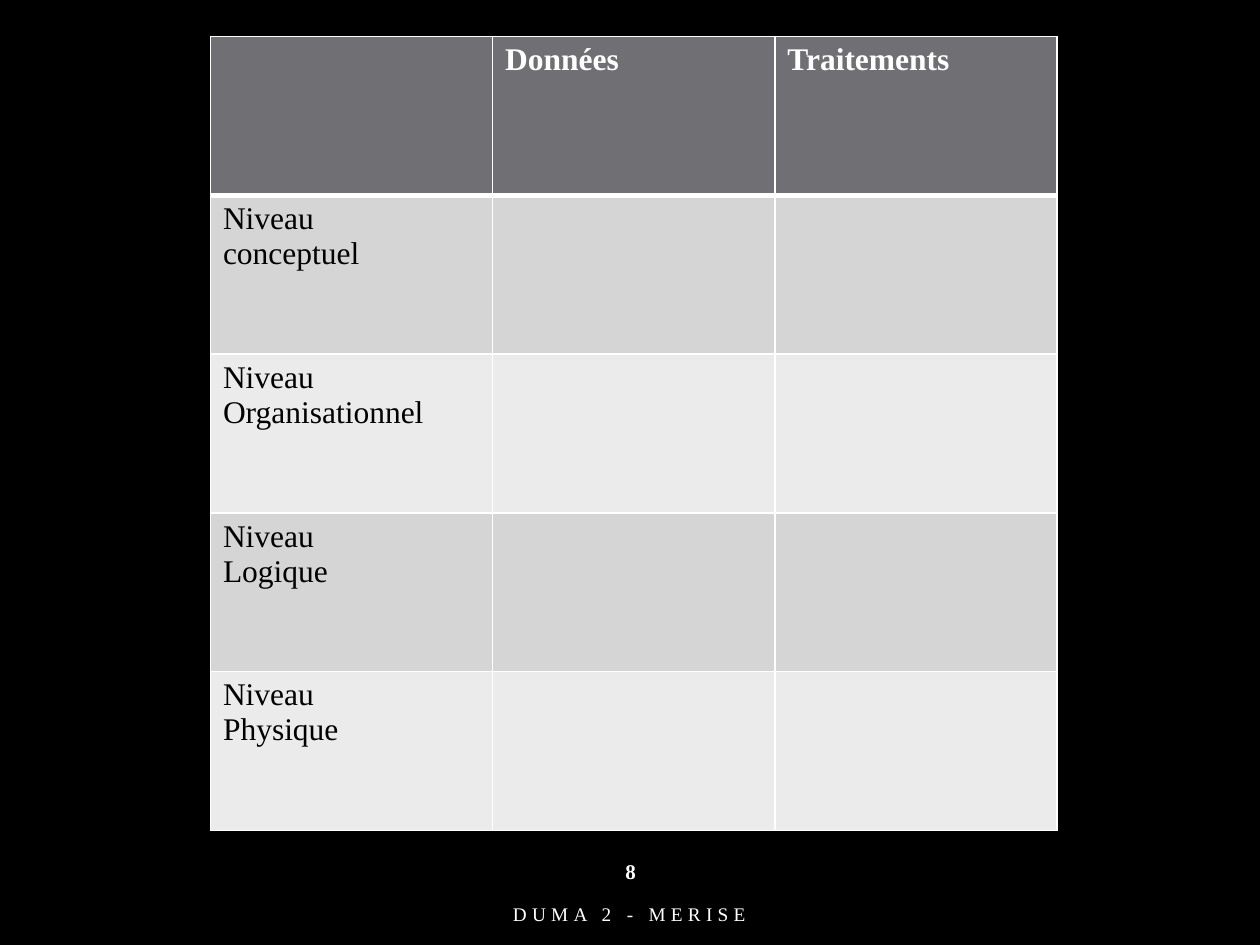
from lxml.etree import SubElement
from pptx import Presentation
from pptx.dml.color import RGBColor
from pptx.enum.text import MSO_ANCHOR as Anchor, PP_ALIGN as Align
from pptx.oxml.ns import qn
from pptx.util import Inches, Pt

COLOURS = {"back": "000000", "light": "FFFFFF", "dark": "000000",
           "header": "6F6F74", "odd": "D5D5D6", "even": "EBEBEB"}
LEVELS = ["conceptuel", "Organisationnel", "Logique", "Physique"]


def colour(name):
    """Return the named colour."""
    return RGBColor.from_string(COLOURS[name])


class SlideBuilder:
    """Hold the text style and the current slide."""

    font = "Times New Roman"

    def __init__(self, page):
        """Start on a page and paint its background."""
        self.page = page
        fill = page.background.fill
        fill.solid()
        fill.fore_color.rgb = colour("back")

    def add_lines(self, frame, lines, ink, align=None, spacing=None, **style):
        """Add one paragraph for each line."""
        for number, line in enumerate(lines):
            para = frame.add_paragraph() if number else frame.paragraphs[0]
            para.alignment = align
            span = para.add_run()
            span.text = line
            for key, value in {"name": self.font, **style}.items():
                setattr(span.font, key, value)
            span.font.color.rgb = colour(ink)
            if spacing:
                span.font._element.set("spc", str(spacing * 100))

    def label(self, text, left, top, width, height, **style):
        """Add a centred line of text."""
        box = self.page.shapes.add_textbox(*map(Inches, (left, top, width, height)))
        frame = box.text_frame
        layout = {"word_wrap": True, "vertical_anchor": Anchor.MIDDLE,
                  "margin_top": 0, "margin_bottom": 0}
        for key, value in layout.items():
            setattr(frame, key, value)
        self.add_lines(frame, [text], "light", Align.CENTER, **style)

    def border(self, cell, sides):
        """Draw the given sides of a cell, with widths in points."""
        properties = cell._tc.get_or_add_tcPr()
        for side, width in sides.items():
            line = SubElement(properties, qn(f"a:ln{side}"), w=str(Pt(width)))
            paint = SubElement(line, qn("a:solidFill"))
            SubElement(paint, qn("a:srgbClr"), val=COLOURS["light"])

    def table(self, rows, left, top, column_width, row_height):
        """Add a table with a header row and banded rows."""
        width, height = column_width * len(rows[0]), row_height * len(rows)
        frame = self.page.shapes.add_table(
            len(rows), len(rows[0]), *map(Inches, (left, top, width, height)))
        grid = frame.table
        for column in grid.columns:
            column.width = Inches(column_width)
        for row_number, row in enumerate(rows):
            grid.rows[row_number].height = Inches(row_height)
            header = row_number == 0
            band = "header" if header else ("even", "odd")[row_number % 2]
            sides = {"L": 1, "R": 1, "T": 1, "B": 3 if header else 1}
            if row_number == 1:
                del sides["T"]
            for column_number, lines in enumerate(row):
                cell = grid.cell(row_number, column_number)
                self.border(cell, sides)
                cell.fill.solid()
                cell.fill.fore_color.rgb = colour(band)
                self.add_lines(cell.text_frame, lines, "light" if header else "dark",
                               size=Pt(18), bold=header)


def main():
    """Build and save the deck."""
    deck = Presentation()
    deck.slide_width, deck.slide_height = Inches(10), Inches(7.5)
    builder = SlideBuilder(deck.slides.add_slide(deck.slide_layouts[6]))
    builder.label("8", 4.42, 6.75, 1.17, 0.33, size=Pt(12), bold=True)
    builder.label("DUMA 2 - MERISE", 1.58, 7.09, 6.83, 0.32, size=Pt(11), spacing=3)
    rows = [[[], ["Données"], ["Traitements"]]]
    rows += [[["Niveau", level], [], []] for level in LEVELS]
    builder.table(rows, 1.67, 0.29, 2.24, 1.26)
    deck.save("out.pptx")


main()
